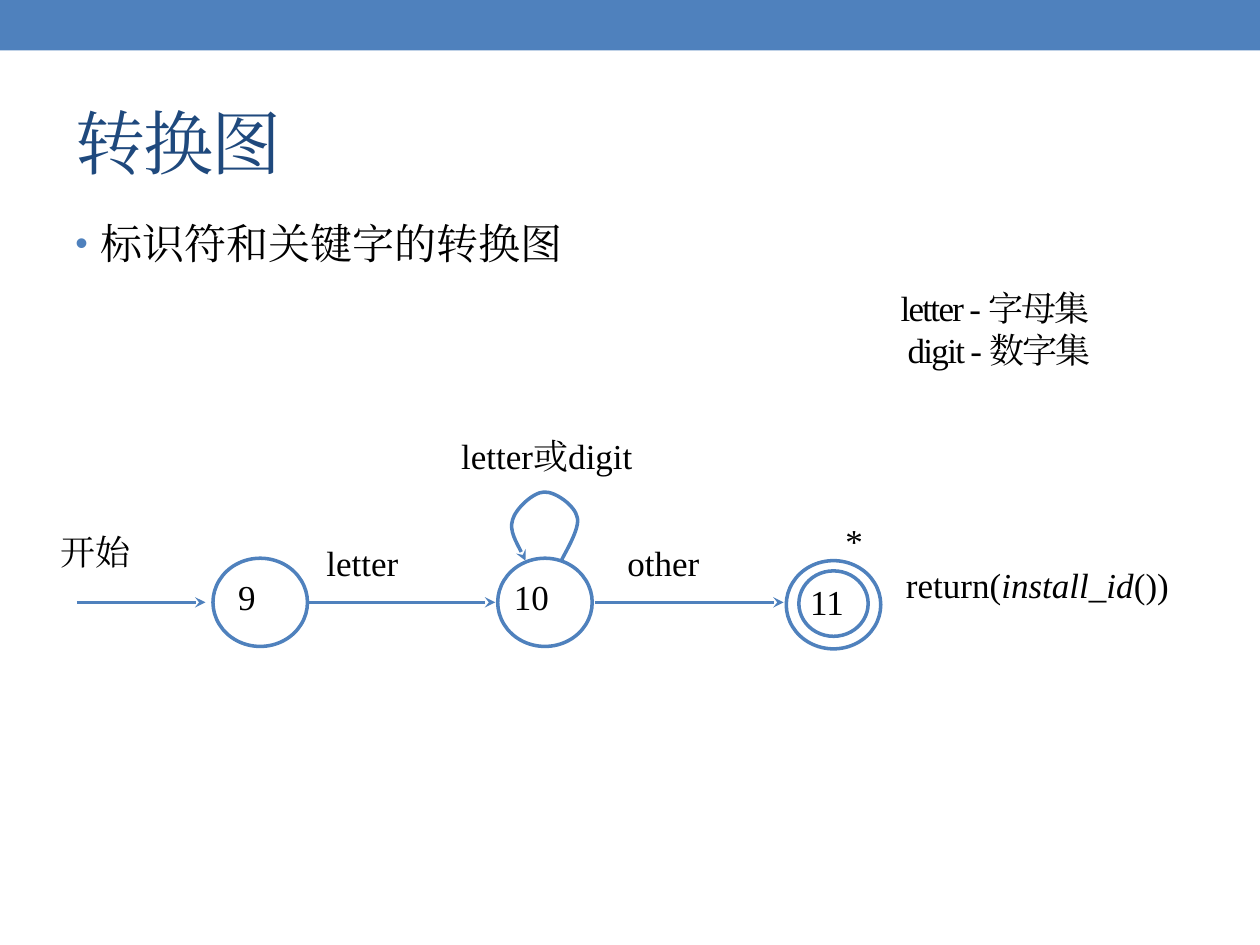
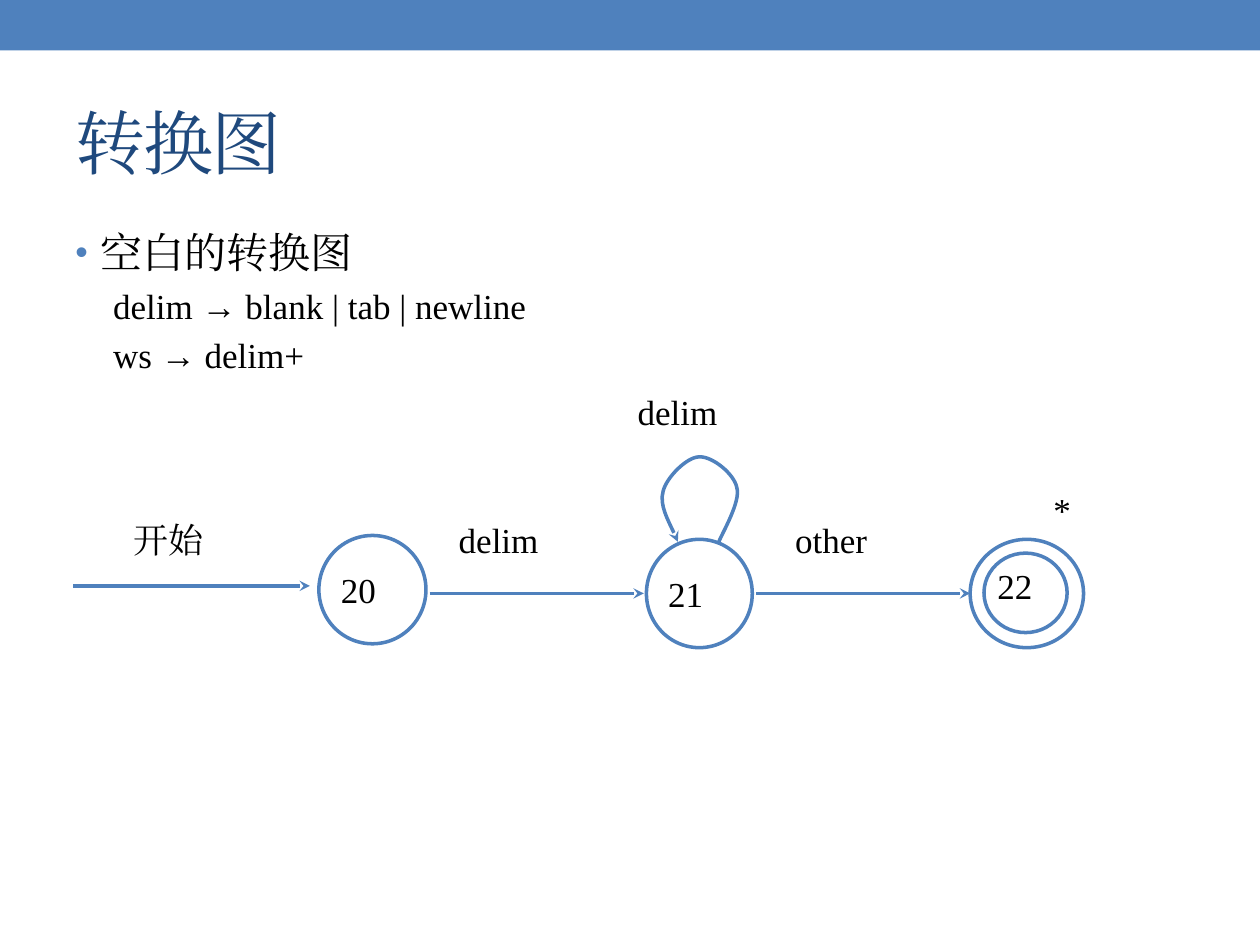
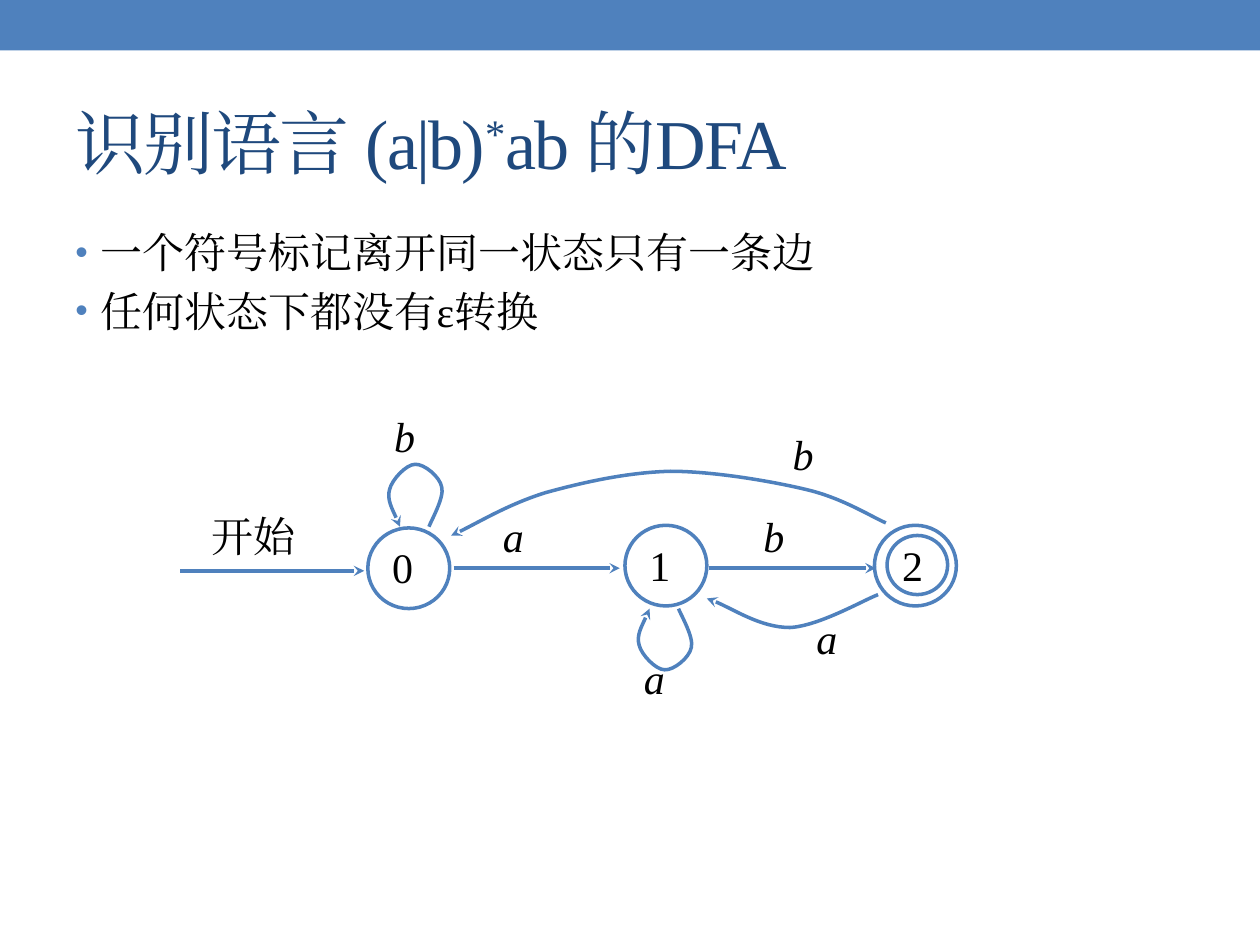
from lxml import etree
from pptx import Presentation
from pptx.dml.color import RGBColor
from pptx.enum.shapes import MSO_CONNECTOR, MSO_SHAPE
from pptx.enum.text import MSO_ANCHOR, PP_ALIGN
from pptx.oxml.ns import qn
from pptx.util import Pt

RECT, OVAL = MSO_SHAPE.RECTANGLE, MSO_SHAPE.OVAL
STRAIGHT = MSO_CONNECTOR.STRAIGHT
TOP, MIDDLE = MSO_ANCHOR.TOP, MSO_ANCHOR.MIDDLE
LEFT, JUSTIFY = PP_ALIGN.LEFT, PP_ALIGN.JUSTIFY

BLUE = RGBColor(0x4F, 0x81, 0xBD)
NAVY = RGBColor(0x1F, 0x49, 0x7D)
BLACK = RGBColor(0, 0, 0)
SERIF, SANS = "Times New Roman", "Noto Sans CJK SC"
LABEL_INSETS = (4.3, 2.2, 4.3, 2.2)
BOX_INSETS = (7.2, 3.6, 7.2, 3.6)

# Self-loop from right foot to left foot, as fractions of its box:
# a start point, then three points for each Bezier curve.
LOOP = [(.73, 1), (.77, .9), (1, .53), (.95, .37), (.92, .21), (.65, 0),
        (.49, .01), (.34, .01), (.09, .25), (.05, .41), (0, .57),
        (.18, .88), (.23, 1)]


def sub(parent, tag, **attrs):
    """Append a DrawingML element."""
    return etree.SubElement(parent, qn(tag), attrs)


def style_run(r, size, color=BLACK, font=SERIF, italic=False, spacing=0):
    """Format one run for Latin and Chinese text."""
    r.font.size = Pt(size)
    r.font.color.rgb = color
    r.font.name = font
    r.font.italic = italic
    rPr = r.font._element
    sub(rPr, "a:ea", typeface=SERIF)
    if spacing:
        rPr.set("spc", str(int(spacing * 100)))


def set_frame(tf, insets, anchor):
    """Set wrapping, insets (left, top, right, bottom) and anchor."""
    tf.word_wrap = True
    tf.margin_left, tf.margin_top, tf.margin_right, tf.margin_bottom = map(Pt, insets)
    tf.vertical_anchor = anchor


def add_box(s, x, y, w, h, insets=BOX_INSETS, anchor=TOP):
    """Add an empty text box and return its frame."""
    tf = s.shapes.add_textbox(Pt(x), Pt(y), Pt(w), Pt(h)).text_frame
    set_frame(tf, insets, anchor)
    return tf


def outline(shape):
    """Give a shape the blue diagram line."""
    shape.line.color.rgb = BLUE
    shape.line.width = Pt(2)


def arrowhead(shape):
    """Put a stealth arrowhead at the end of the line."""
    sub(shape._element.spPr.find(qn("a:ln")), "a:tailEnd", type="stealth")


def add_base(prs, title_runs):
    """Add a slide with the top band and title; runs are (text, superscript)."""
    s = prs.slides.add_slide(prs.slide_layouts[6])
    band = s.shapes.add_shape(RECT, 0, 0, prs.slide_width, Pt(28.8))
    band.shadow.inherit = False
    band.fill.solid()
    band.fill.fore_color.rgb = BLUE
    band.line.fill.background()
    p = add_box(s, 36, 41.8, 648, 77.8, anchor=MIDDLE).paragraphs[0]
    for text, raised in title_runs:
        r = p.add_run()
        r.text = text
        style_run(r, 40, NAVY, spacing=-1)
        if raised:
            r.font._element.set("baseline", "30000")
    return s


def add_body(s, y, lines, font=SERIF):
    """Add the body text; lines are (text, level), level 0 has a bullet."""
    tf = add_box(s, 36, y, 648, 383.8)
    for i, (text, level) in enumerate(lines):
        p = tf.paragraphs[0] if i == 0 else tf.add_paragraph()
        p.text = text
        style_run(p.runs[0], 20 if level else 24, font=font)
        pPr = p._p.get_or_add_pPr()
        pPr.set("marL", str(Pt(36 if level else 14.4)))
        pPr.set("indent", str(-Pt(14.4)))
        sub(sub(pPr, "a:spcBef"), "a:spcPct", val="20000")
        if level:
            sub(pPr, "a:buNone")
        else:
            sub(sub(pPr, "a:buClr"), "a:srgbClr", val=str(BLUE))
            sub(pPr, "a:buSzPct", val="85000")
            sub(pPr, "a:buFont", typeface="Arial")
            sub(pPr, "a:buChar", char="•")


def add_label(s, x, y, w, h, runs, size=20, italic=False):
    """Add an edge label; runs is a string or a list of (text, italic)."""
    p = add_box(s, x, y, w, h, LABEL_INSETS).paragraphs[0]
    p.alignment = JUSTIFY
    for text, slanted in [(runs, italic)] if isinstance(runs, str) else runs:
        r = p.add_run()
        r.text = text
        style_run(r, size, italic=slanted)


def add_state(s, x, y, w, h, text="", size=20, insets=BOX_INSETS, anchor=MIDDLE):
    """Add a state circle with an optional number."""
    oval = s.shapes.add_shape(OVAL, Pt(x), Pt(y), Pt(w), Pt(h))
    oval.shadow.inherit = False
    oval.fill.background()
    outline(oval)
    if text:
        tf = oval.text_frame
        set_frame(tf, insets, anchor)
        tf.text = text
        tf.paragraphs[0].alignment = LEFT
        style_run(tf.paragraphs[0].runs[0], size)


def add_arrow(s, x1, x2, y):
    """Add a horizontal arrow."""
    line = s.shapes.add_connector(STRAIGHT, Pt(x1), Pt(y), Pt(x2), Pt(y))
    outline(line)
    arrowhead(line)
    sub(line._element.spPr, "a:effectLst")


def add_curve(s, points):
    """Add a curved arrow from a start point and Bezier point triples."""
    pts = [(Pt(x), Pt(y)) for x, y in points]
    builder = s.shapes.build_freeform(*pts[0])
    builder.add_line_segments(pts[1:], close=False)
    curve = builder.convert_to_shape()
    curve.shadow.inherit = False
    curve.fill.background()
    outline(curve)
    arrowhead(curve)
    segments = list(curve._element.iter(qn("a:lnTo")))
    path = segments[0].getparent()
    for i in range(0, len(segments), 3):
        bezier = sub(path, "a:cubicBezTo")
        for segment in segments[i:i + 3]:
            bezier.append(segment[0])
            path.remove(segment)


def add_loop(s, x, y, w, h, below=False):
    """Add a self-loop above a state, or mirrored below it."""
    add_curve(s, [(x + u * w, y + (1 - v if below else v) * h) for u, v in LOOP])


def identifier_slide(prs):
    """Transition diagram for identifiers and keywords."""
    s = add_base(prs, [("转换图", False)])
    add_body(s, 121, [("标识符和关键字的转换图", 0)], SANS)
    add_state(s, 121.7, 319, 54, 50.4, "9", insets=(6.5, 2.2, 7.2, 3.6), anchor=TOP)
    add_state(s, 284.4, 319, 54, 50.4, "10", insets=(1.4, 2.2, 1.4, 3.6), anchor=TOP)
    add_state(s, 449.3, 320.4, 54, 50.4)
    add_state(s, 456.5, 326.2, 39.6, 37.4, "11", insets=(.7, 0, .7, 0), anchor=TOP)
    for x1, x2 in [(43.9, 117.4), (175, 283), (339.8, 447.8)]:
        add_arrow(s, x1, x2, 344.2)
    add_loop(s, 290.9, 280.8, 41, 39.6)
    add_label(s, 30.2, 301, 87.1, 38.2, "开始")
    add_label(s, 182.2, 307.4, 89.3, 36.7, "letter")
    add_label(s, 354.2, 307.4, 99.4, 43.2, "other")
    add_label(s, 478.8, 294.5, 27.4, 25.2, "*")
    add_label(s, 259.2, 246.2, 142.6, 47.5, "letter或digit")
    add_label(s, 513.4, 319.7, 192.2, 37.4,
              [("return(", False), ("install_id", True), ("())", False)])
    tf = add_box(s, 507.6, 155.5, 169.9, 64.1, anchor=MIDDLE)
    tf.text = "letter - 字母集\n digit - 数字集"
    for p in tf.paragraphs:
        style_run(p.runs[0], 20, spacing=-1)


def whitespace_slide(prs):
    """Transition diagram for white space."""
    s = add_base(prs, [("转换图", False)])
    add_body(s, 126, [("空白的转换图", 0),
                      ("delim → blank | tab | newline", 1),
                      ("ws → delim+", 1)])
    insets = (3.6, 3.6, 1.4, 3.6)
    add_state(s, 182.2, 306, 61.2, 61.9, "20", insets=insets)
    add_state(s, 369.4, 308.2, 60.5, 61.9, "21", insets=insets)
    add_state(s, 554.4, 308.2, 64.8, 61.9)
    add_state(s, 562.3, 316.1, 47.5, 45.4, "22", insets=(.7, 0, .7, 0), anchor=TOP)
    add_arrow(s, 41.8, 177.1, 334.8)
    add_arrow(s, 245.5, 367.9, 339.1)
    add_arrow(s, 432, 554.4, 339.1)
    add_loop(s, 376.6, 260.6, 46.8, 49)
    for x, y, w, h, text in [(72, 293.8, 98.6, 59, "开始"),
                             (257.8, 293.8, 128.9, 59, "delim"),
                             (450, 293.8, 128.9, 59, "other"),
                             (597.6, 277.2, 44.6, 59, "*"),
                             (360, 221, 109.4, 41.8, "delim")]:
        add_label(s, x, y, w, h, text)


def dfa_slide(prs):
    """DFA with three states."""
    s = add_base(prs, [("识别语言 (a|b)", False), ("*", True), ("ab 的DFA", False)])
    add_body(s, 126, [("一个符号标记离开同一状态只有一条边", 0),
                      ("任何状态下都没有ε转换", 0)])
    insets = (7.2, 2.2, 1.4, 3.6)
    add_state(s, 210.2, 301.7, 46.8, 46.1, "0", 24, insets)
    add_state(s, 357.1, 300.2, 46.8, 46.1, "1", 24, insets)
    add_state(s, 499.7, 300.2, 46.8, 46.1)
    add_state(s, 506.9, 306, 34.6, 33.8, "2", 24, (3.6, 0, .7, 0))
    add_arrow(s, 103, 208.1, 326.2)
    add_arrow(s, 259.2, 354.2, 324.7)
    add_arrow(s, 405.4, 500.4, 324.7)
    add_loop(s, 221, 265, 33.1, 36)
    add_loop(s, 363.6, 347.8, 33.1, 35.3, below=True)
    add_curve(s, [(506.2, 298.8), (499, 295.9), (482.4, 285.1), (462.2, 280.1),
                  (441.4, 275), (407.5, 269.3), (383, 269.3),
                  (357.8, 270), (332.6, 275.8), (311.8, 281.5),
                  (290.9, 288), (269.3, 301), (257.8, 306)])
    add_curve(s, [(501.8, 339.8), (493.9, 342.7), (468, 357.8), (451.4, 358.6),
                  (434.9, 358.6), (414, 344.9), (403.9, 342)])
    add_label(s, 116.6, 289.4, 76.3, 43.2, "开始", 24)
    for x, y, text in [(283, 289.4, "a"), (221, 232.6, "b"), (432, 289.4, "b"),
                       (363.6, 370.8, "a"), (462.2, 347.8, "a"),
                       (448.6, 242.6, "b")]:
        add_label(s, x, y, 38.2, 36.7, text, 24, italic=True)


def main():
    """Build the presentation."""
    prs = Presentation()
    prs.slide_width, prs.slide_height = Pt(720), Pt(540)
    identifier_slide(prs)
    whitespace_slide(prs)
    dfa_slide(prs)
    prs.save("out.pptx")


main()
